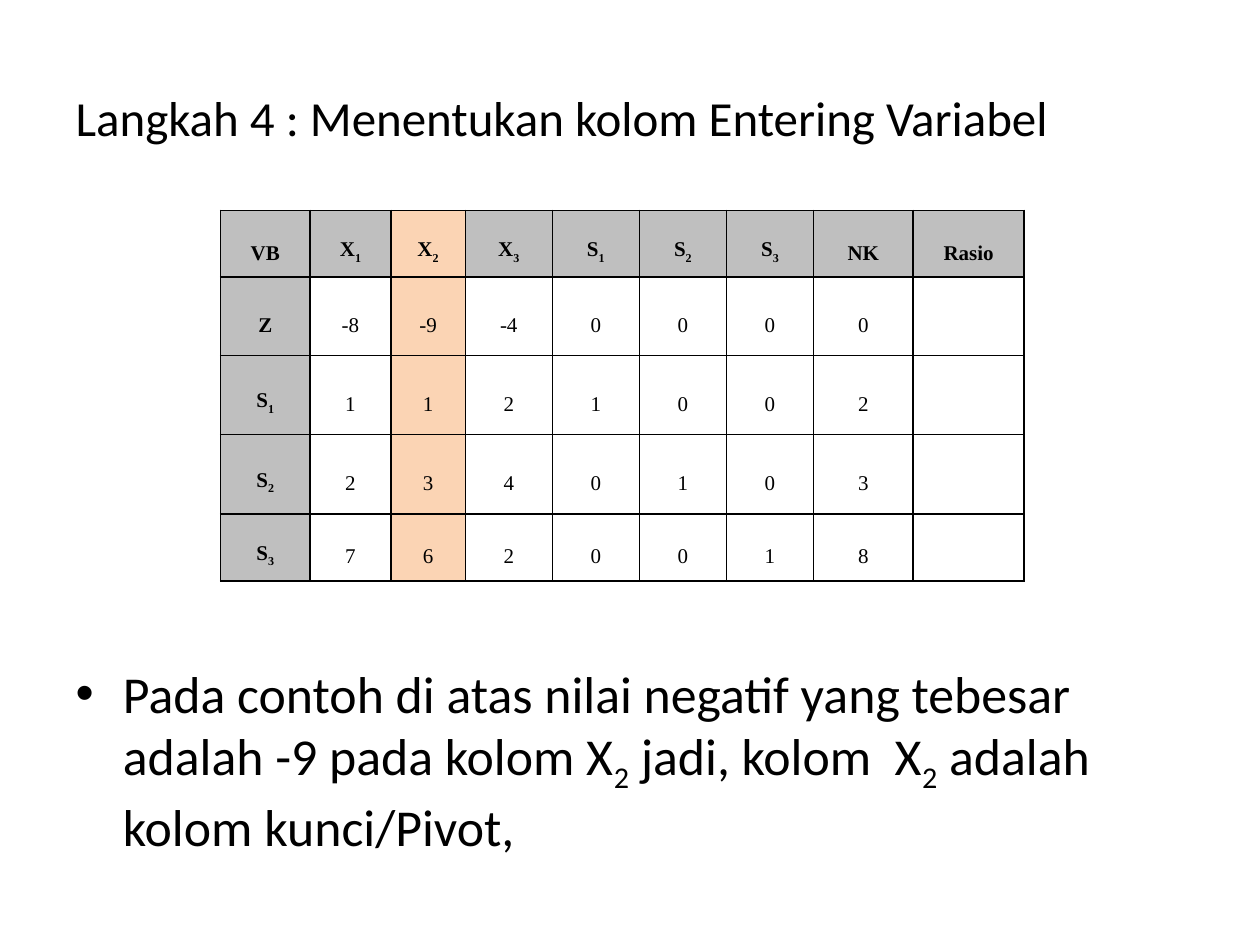
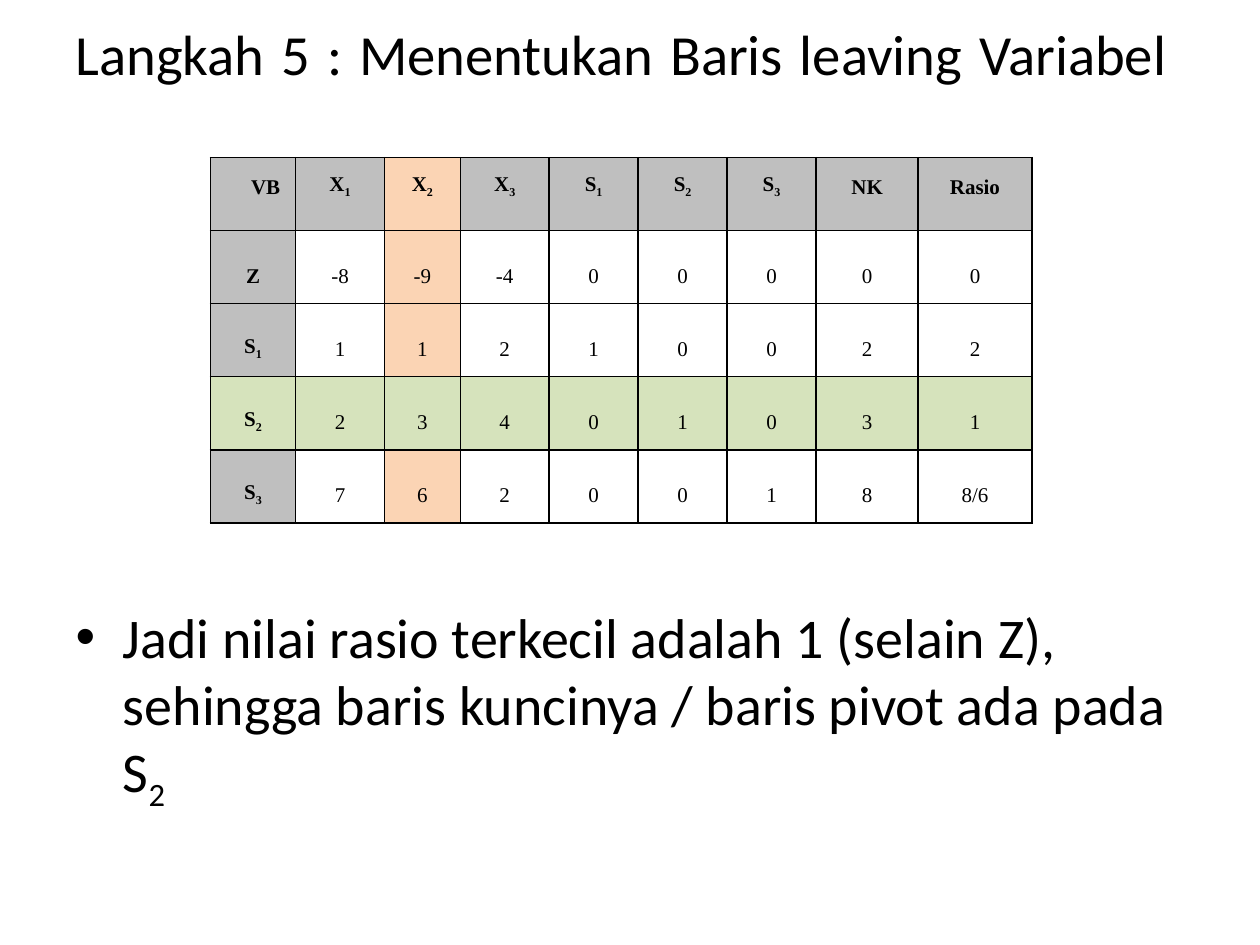
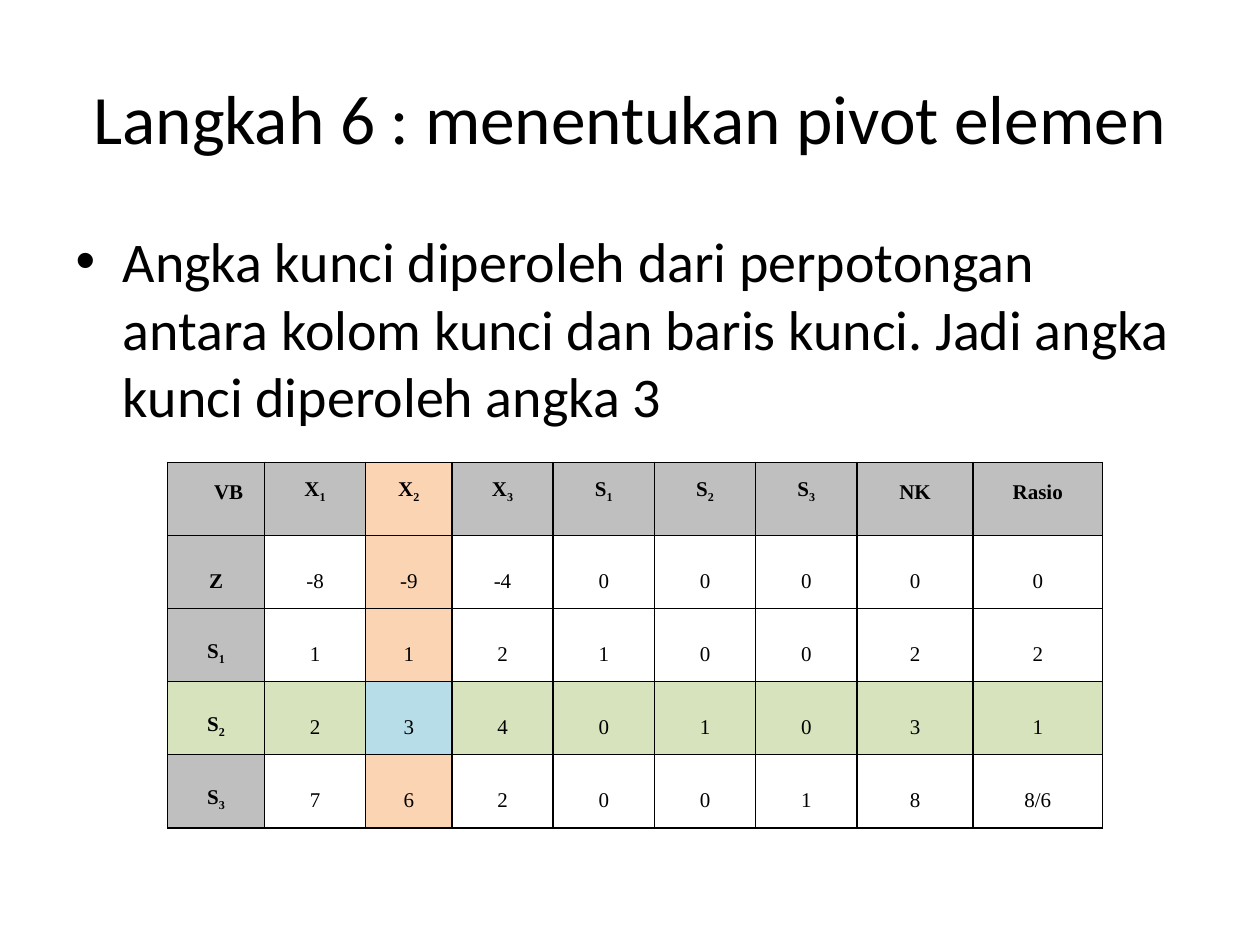
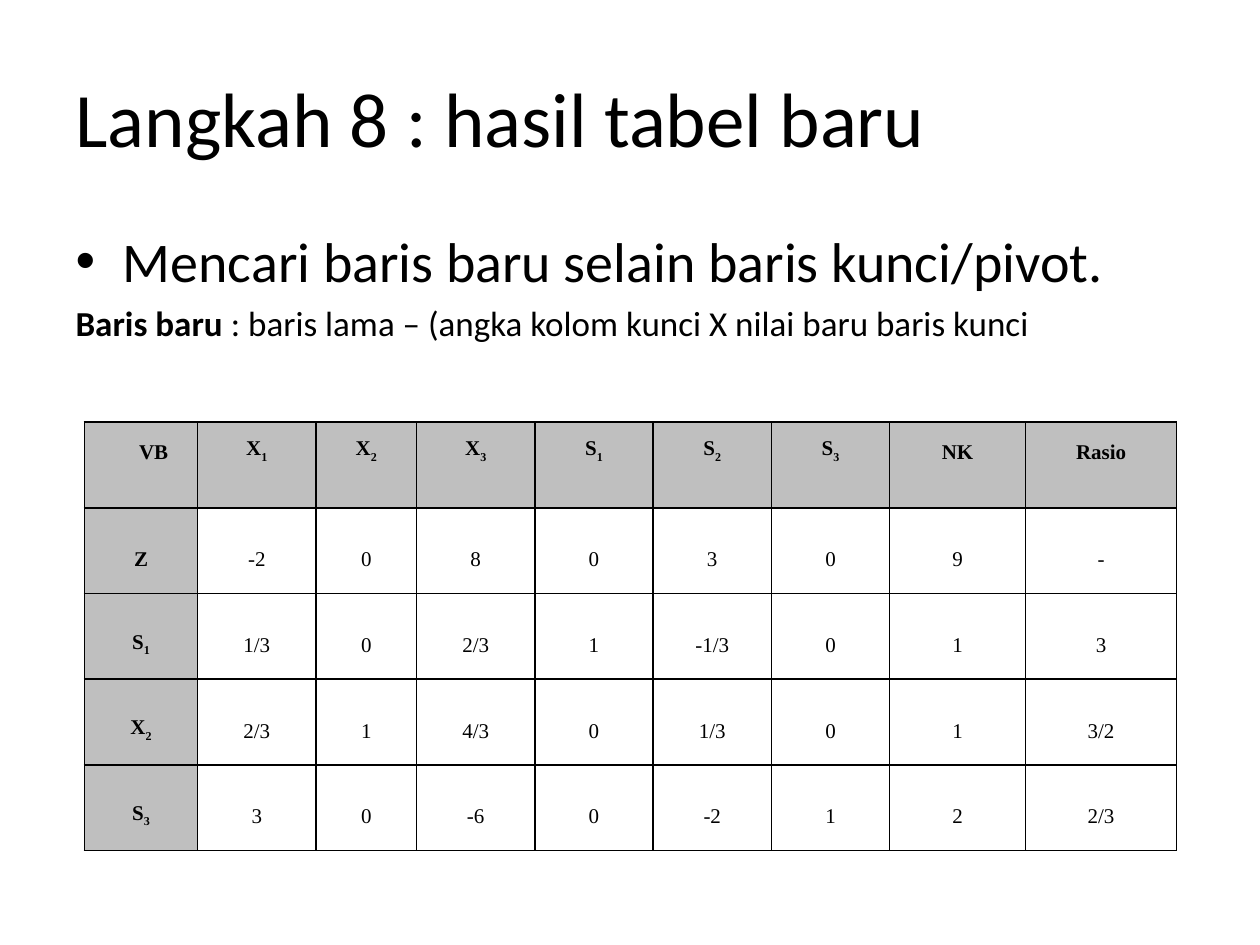
from dataclasses import dataclass

from lxml.etree import SubElement
from pptx import Presentation
from pptx.dml.color import RGBColor
from pptx.enum.text import MSO_ANCHOR, MSO_AUTO_SIZE, PP_ALIGN
from pptx.oxml.ns import qn
from pptx.util import Inches, Pt


@dataclass(frozen=True)
class Theme:
    """Fonts, colours, sizes and table proportions shared by the slides."""
    font: str = "Calibri"
    table_font: str = "Times New Roman"
    ink: str = "000000"
    header: str = "BFBFBF"
    pivot_column: str = "FBD4B4"
    pivot_row: str = "D6E3BC"
    pivot_cell: str = "B6DDE8"
    body_size: float = 32
    note_size: float = 20
    cell_size: float = 12
    cell_leading: float = 23.8
    subscript: str = "-25000"
    columns: tuple = (0.9, 0.94, 0.8, 0.94, 0.94, 0.94, 0.94, 1.08, 1.2)


THEME = Theme()
HEADINGS = ["VB", "X_1", "X_2", "X_3", "S_1", "S_2", "S_3", "NK", "Rasio"]
FIRST_TABLEAU = [
    ["Z", "-8", "-9", "-4", "0", "0", "0", "0"],
    ["S_1", "1", "1", "2", "1", "0", "0", "2"],
    ["S_2", "2", "3", "4", "0", "1", "0", "3"],
    ["S_3", "7", "6", "2", "0", "0", "1", "8"],
]
RATIOS = ["0", "2", "1", "8/6"]
NEW_TABLEAU = [
    ["Z", "-2", "0", "8", "0", "3", "0", "9", "-"],
    ["S_1", "1/3", "0", "2/3", "1", "-1/3", "0", "1", "3"],
    ["X_2", "2/3", "1", "4/3", "0", "1/3", "0", "1", "3/2"],
    ["S_3", "3", "0", "-6", "0", "-2", "1", "2", "2/3"],
]
PIVOT_COLUMN, PIVOT_ROW = 2, 3


def style_run(r, size, font=THEME.font, bold=False):
    """Give a run its font, size, weight and colour."""
    r.font.name = font
    r.font.size = Pt(size)
    r.font.bold = bold
    r.font.color.rgb = RGBColor.from_string(THEME.ink)


def write(p, text, size, font=THEME.font, bold=False):
    """Append text to a paragraph, lowering the character after each underscore."""
    first, *rest = text.split("_")
    parts = [(first, False)]
    for part in rest:
        parts += [(part[0], True), (part[1:], False)]
    for part, lowered in parts:
        if part:
            r = p.add_run()
            r.text = part
            style_run(r, size, font, bold)
            if lowered:
                r.font._element.set("baseline", THEME.subscript)


def place(shape, left, top, width, height):
    """Move and size a shape, in inches."""
    shape.left, shape.top = Inches(left), Inches(top)
    shape.width, shape.height = Inches(width), Inches(height)


def add_title(s, text, size, align=PP_ALIGN.LEFT, height=1.25):
    """Fill the title placeholder."""
    sp = s.shapes.title
    place(sp, 0.5, 0.3, 9, height)
    tf = sp.text_frame
    tf.text = text
    tf.auto_size = MSO_AUTO_SIZE.NONE
    tf.vertical_anchor = MSO_ANCHOR.MIDDLE
    p = tf.paragraphs[0]
    p.alignment = align
    for r in p.runs:
        style_run(r, size)
    for br in p._p.findall(qn("a:br")):
        SubElement(br, qn("a:rPr")).set("sz", str(int(size * 100)))
    SubElement(p._p, qn("a:endParaRPr")).set("sz", str(int(size * 100)))


def add_body(s, text, top=1.75, size=THEME.body_size):
    """Fill the body placeholder with one bullet and return its text frame."""
    sp = s.placeholders[1]
    place(sp, 0.5, top, 9, 6.7 - top)
    tf = sp.text_frame
    tf.auto_size = MSO_AUTO_SIZE.NONE
    write(tf.paragraphs[0], text, size)
    return tf


def add_note(tf, label, text):
    """Add a smaller line without bullet that opens with a bold label."""
    p = tf.add_paragraph()
    pPr = p._p.get_or_add_pPr()
    pPr.set("marL", "0")
    pPr.set("indent", "0")
    SubElement(pPr, qn("a:buNone"))
    write(p, label, THEME.note_size, bold=True)
    write(p, text, THEME.note_size)


def set_borders(cell):
    """Draw a thin line on all four sides of a cell."""
    tcPr = cell._tc.get_or_add_tcPr()
    for side in ("lnL", "lnR", "lnT", "lnB"):
        ln = SubElement(tcPr, qn(f"a:{side}"), w=str(Pt(1)))
        fill = SubElement(ln, qn("a:solidFill"))
        SubElement(fill, qn("a:srgbClr"), val=THEME.ink)


def cell_color(i, j, marks):
    """Choose a cell's fill from its place and the pivot marks shown."""
    if i == PIVOT_ROW and j == PIVOT_COLUMN and "cell" in marks:
        return THEME.pivot_cell
    if i == PIVOT_ROW and "row" in marks:
        return THEME.pivot_row
    if j == PIVOT_COLUMN and "column" in marks:
        return THEME.pivot_column
    return THEME.header if i == 0 or j == 0 else None


def fill_cell(cell, text, color, bold, anchor):
    """Write and format one table cell."""
    set_borders(cell)
    if color:
        cell.fill.solid()
        cell.fill.fore_color.rgb = RGBColor.from_string(color)
    else:
        cell.fill.background()
    cell.margin_left = cell.margin_right = Inches(0.07)
    cell.margin_top = cell.margin_bottom = 0
    cell.vertical_anchor = anchor
    p = cell.text_frame.paragraphs[0]
    p.alignment = PP_ALIGN.CENTER
    p.line_spacing = Pt(THEME.cell_leading)
    write(p, text, THEME.cell_size, THEME.table_font, bold)


def add_tableau(s, rows, at, heights, marks=(), columns=THEME.columns,
                header_anchor=MSO_ANCHOR.TOP):
    """Add a simplex tableau whose columns share the given width."""
    left, top, width = at
    grid = [HEADINGS] + rows
    table = s.shapes.add_table(len(grid), len(HEADINGS), Inches(left), Inches(top),
                               Inches(width), Inches(sum(heights))).table
    table.first_row = table.horz_banding = False
    for column, share in zip(table.columns, columns):
        column.width = Inches(width * share / sum(columns))
    for i, values in enumerate(grid):
        table.rows[i].height = Inches(heights[i])
        anchor = MSO_ANCHOR.MIDDLE if i else header_anchor
        for j in range(len(HEADINGS)):
            text = values[j] if j < len(values) else ""
            fill_cell(table.cell(i, j), text, cell_color(i, j, marks),
                      i == 0 or j == 0, anchor)
    if header_anchor == MSO_ANCHOR.TOP:
        p = table.cell(0, 0).text_frame.paragraphs[0]
        p._p.get_or_add_pPr().set("indent", str(Inches(0.2)))


def main():
    """Build the four slides."""
    prs = Presentation()
    prs.slide_width, prs.slide_height = Inches(10), Inches(7.5)
    layout = prs.slide_layouts[1]
    with_ratios = [row + [ratio] for row, ratio in zip(FIRST_TABLEAU, RATIOS)]

    s = prs.slides.add_slide(layout)
    add_title(s, "Langkah 4 : Menentukan kolom Entering Variabel", 28)
    add_body(s, "Pada contoh di atas nilai negatif yang tebesar adalah -9 pada kolom "
                "X_2 jadi, kolom  X_2 adalah kolom kunci/Pivot,", 5.2, 29.6)
    add_tableau(s, FIRST_TABLEAU, (1.75, 1.67, 6.38), [0.53, 0.62, 0.63, 0.63, 0.53],
                ("column",), (0.71, 0.64, 0.59, 0.69, 0.69, 0.69, 0.69, 0.79, 0.88),
                MSO_ANCHOR.MIDDLE)

    s = prs.slides.add_slide(layout)
    add_title(s, "Langkah 5 : Menentukan Baris leaving Variabel \v", 32.4,
              PP_ALIGN.JUSTIFY, 0.78)
    add_body(s, "Jadi nilai rasio terkecil adalah 1 (selain Z), sehingga baris "
                "kuncinya / baris pivot ada pada S_2", 4.73)
    add_tableau(s, with_ratios, (1.67, 1.25, 6.52), [0.58] * 5, ("column", "row"))

    s = prs.slides.add_slide(layout)
    add_title(s, "Langkah 6 : menentukan pivot elemen", 39.6, PP_ALIGN.CENTER)
    add_body(s, "Angka kunci diperoleh dari perpotongan antara kolom kunci dan baris "
                "kunci. Jadi angka kunci diperoleh angka 3")
    add_tableau(s, with_ratios, (1.33, 3.67, 7.42), [0.58] * 5, ("column", "row", "cell"))

    s = prs.slides.add_slide(layout)
    add_title(s, "Langkah 8 : hasil tabel baru", 44)
    tf = add_body(s, "Mencari baris baru selain baris kunci/pivot.")
    add_note(tf, "Baris baru ", ": baris lama – (angka kolom kunci X nilai baru baris kunci")
    add_tableau(s, NEW_TABLEAU, (0.67, 3.35, 8.67), [0.68] * 5)

    prs.save("out.pptx")


if __name__ == "__main__":
    main()
